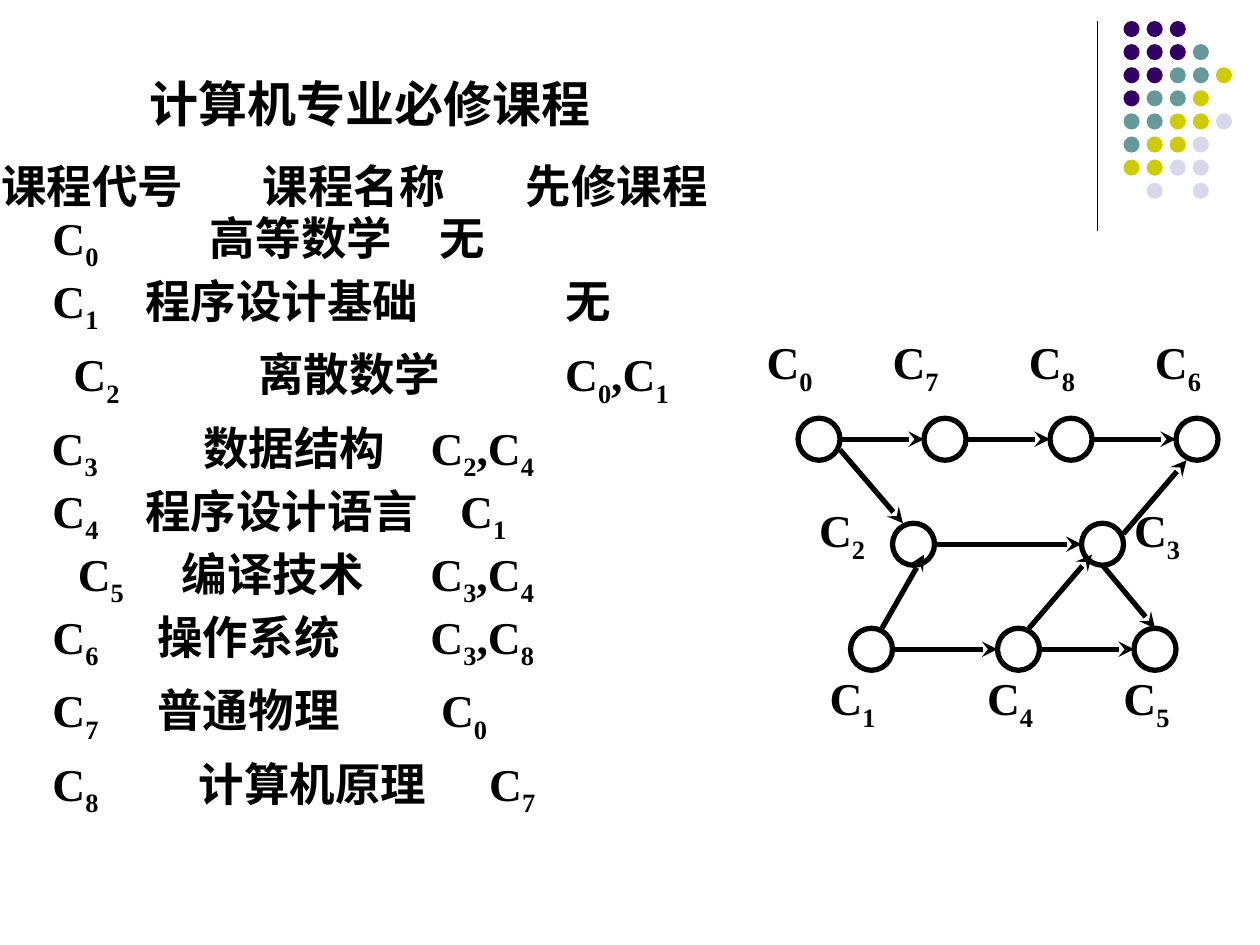
"""Build the slide of required computer science courses with its prerequisite graph."""
import itertools

import pptx
import pptx.dml.color
import pptx.enum.shapes
import pptx.enum.text
import pptx.oxml
import pptx.oxml.ns
import pptx.util

Pt = pptx.util.Pt
RGBColor = pptx.dml.color.RGBColor
BLACK = RGBColor(0x00, 0x00, 0x00)
PURPLE = RGBColor(0x33, 0x00, 0x66)
TEAL = RGBColor(0x66, 0x99, 0x99)
YELLOW = RGBColor(0xCC, 0xCC, 0x00)
LAVENDER = RGBColor(0xD8, 0xD8, 0xEC)

DOT_COLOURS = {"P": PURPLE, "T": TEAL, "Y": YELLOW, "L": LAVENDER}
DOT_ROWS = ["PPP", "PPPT", "PPTTY", "PTTY", "TTYYL", "TYYL", "YYLL", " L L"]
DOT_LEFT, DOT_TOP, DOT_PITCH, DOT_SIZE = 642, 12, 13.2, 9.2

COURSES = [
    (90.3, (0.7, 150, 300.5), ("课程代号", "课程名称", "先修课程")),
    (120, (30, 120, 251), ("C0", "高等数学", "无")),
    (156, (30, 83, 323), ("C1", "程序设计基础", "无")),
    (198, (42, 147.5, 323), ("C2", "离散数学", "C0,C1")),
    (240, (29.5, 116, 246), ("C3", "数据结构", "C2,C4")),
    (276, (30, 83, 263), ("C4", "程序设计语言", "C1")),
    (312, (44.5, 104, 246), ("C5", "编译技术", "C3,C4")),
    (348, (30, 90, 246), ("C6", "操作系统", "C3,C8")),
    (390, (30, 90, 252), ("C7", "普通物理", "C0")),
    (432, (30, 113.5, 279.5), ("C8", "计算机原理", "C7")),
]

NODE_SIZE = 24
GRAPH_ROWS = [
    (239, [("C0", 456, -18, -48), ("C7", 528, -18, -48), ("C8", 600, -12, -48), ("C6", 672, -12, -48)]),
    (299, [("C2", 510, -42, -12), ("C3", 618, 30, -12)]),
    (359, [("C1", 486, -12, 24), ("C4", 570, -6, 24), ("C5", 648, -6, 24)]),
]
DIAGONALS = [
    (480, 257, 516, 299),
    (504, 359, 528, 317),
    (588, 359, 624, 317),
    (642, 305, 678, 263),
    (630, 323, 660, 359),
]


class SlideBuilder:
    """Hold the text style and the current slide."""

    latin_font = "Times New Roman"
    chinese_font = "Noto Sans CJK SC"
    text_size = 26
    title_size = 28

    def __init__(self, slide):
        self.slide = slide

    def style_run(self, run, size):
        """Apply the bold black two-script font."""
        run.font.name = self.latin_font
        run.font.size = Pt(size)
        run.font.bold = True
        run.font.color.rgb = BLACK
        properties = run.font._element
        chinese = pptx.oxml.parse_xml(f'<a:ea {pptx.oxml.ns.nsdecls("a")} typeface="{self.chinese_font}"/>')
        properties.find(pptx.oxml.ns.qn("a:latin")).addnext(chinese)

    def clear_margins(self, frame):
        """Remove the insets of a text frame and anchor it at the top."""
        frame.margin_left = frame.margin_right = frame.margin_top = frame.margin_bottom = 0
        frame.vertical_anchor = pptx.enum.text.MSO_ANCHOR.TOP
        frame.auto_size = pptx.enum.text.MSO_AUTO_SIZE.NONE
        frame.word_wrap = True

    def title(self, text, left, top, width, height):
        """Place the slide title."""
        shape = self.slide.shapes.title
        shape.left, shape.top, shape.width, shape.height = Pt(left), Pt(top), Pt(width), Pt(height)
        frame = shape.text_frame
        self.clear_margins(frame)
        frame.text = text
        frame.paragraphs[0].alignment = pptx.enum.text.PP_ALIGN.CENTER
        self.style_run(frame.paragraphs[0].runs[0], self.title_size)

    def text(self, text, left, top, width, height, tabs=()):
        """Add a line of text whose digits are subscripts."""
        shape = self.slide.shapes.add_textbox(Pt(left), Pt(top), Pt(width), Pt(height))
        self.clear_margins(shape.text_frame)
        paragraph = shape.text_frame.paragraphs[0]
        if tabs:
            tab_list = "".join(f'<a:tab pos="{Pt(tab)}" algn="l"/>' for tab in tabs)
            paragraph._p.get_or_add_pPr().append(
                pptx.oxml.parse_xml(f'<a:tabLst {pptx.oxml.ns.nsdecls("a")}>{tab_list}</a:tabLst>'))
        for is_subscript, letters in itertools.groupby(text, str.isdigit):
            run = paragraph.add_run()
            run.text = "".join(letters)
            self.style_run(run, self.text_size)
            if is_subscript:
                run.font._element.set("baseline", "-25000")

    def circle(self, left, top, size, fill=None):
        """Add a filled dot, or an outlined node when no fill is given."""
        shape = self.slide.shapes.add_shape(
            pptx.enum.shapes.MSO_SHAPE.OVAL, Pt(left), Pt(top), Pt(size), Pt(size))
        shape.shadow.inherit = False
        if fill is None:
            shape.fill.background()
            shape.line.color.rgb = BLACK
            shape.line.width = Pt(3)
        else:
            shape.fill.solid()
            shape.fill.fore_color.rgb = fill
            shape.line.fill.background()

    def line(self, start_x, start_y, end_x, end_y, width=3, arrow=True):
        """Add a straight line, with a stealth arrowhead if wanted."""
        connector = self.slide.shapes.add_connector(
            pptx.enum.shapes.MSO_CONNECTOR.STRAIGHT, Pt(start_x), Pt(start_y), Pt(end_x), Pt(end_y))
        connector.line.color.rgb = BLACK
        connector.line.width = Pt(width)
        namespace = pptx.oxml.ns.nsdecls("a")
        if arrow:
            connector.line._get_or_add_ln().append(pptx.oxml.parse_xml(f'<a:tailEnd {namespace} type="stealth"/>'))
        connector._element.spPr.append(pptx.oxml.parse_xml(f"<a:effectLst {namespace}/>"))


def main():
    """Build and save the presentation."""
    presentation = pptx.Presentation()
    presentation.slide_width, presentation.slide_height = Pt(720), Pt(540)
    builder = SlideBuilder(presentation.slides.add_slide(presentation.slide_layouts[5]))

    builder.line(627, 12, 627, 132, width=0.75, arrow=False)
    for row, colours in enumerate(DOT_ROWS):
        for column, colour in enumerate(colours):
            if colour in DOT_COLOURS:
                builder.circle(DOT_LEFT + column * DOT_PITCH, DOT_TOP + row * DOT_PITCH,
                               DOT_SIZE, DOT_COLOURS[colour])

    builder.title("计算机专业必修课程", 0, 42, 423, 41)
    for top, (left, *stops), cells in COURSES:
        builder.text("\t".join(cells), left, top, 430 - left, 43, [stop - left for stop in stops])

    for top, nodes in GRAPH_ROWS:
        for name, left, label_x, label_y in nodes:
            builder.circle(left, top, NODE_SIZE)
            builder.text(name, left + label_x, top + label_y, 48, 35)
        middle = top + NODE_SIZE / 2
        for source, target in itertools.pairwise(nodes):
            builder.line(source[1] + NODE_SIZE, middle, target[1], middle)
    for ends in DIAGONALS:
        builder.line(*ends)

    presentation.save("out.pptx")


if __name__ == "__main__":
    main()
